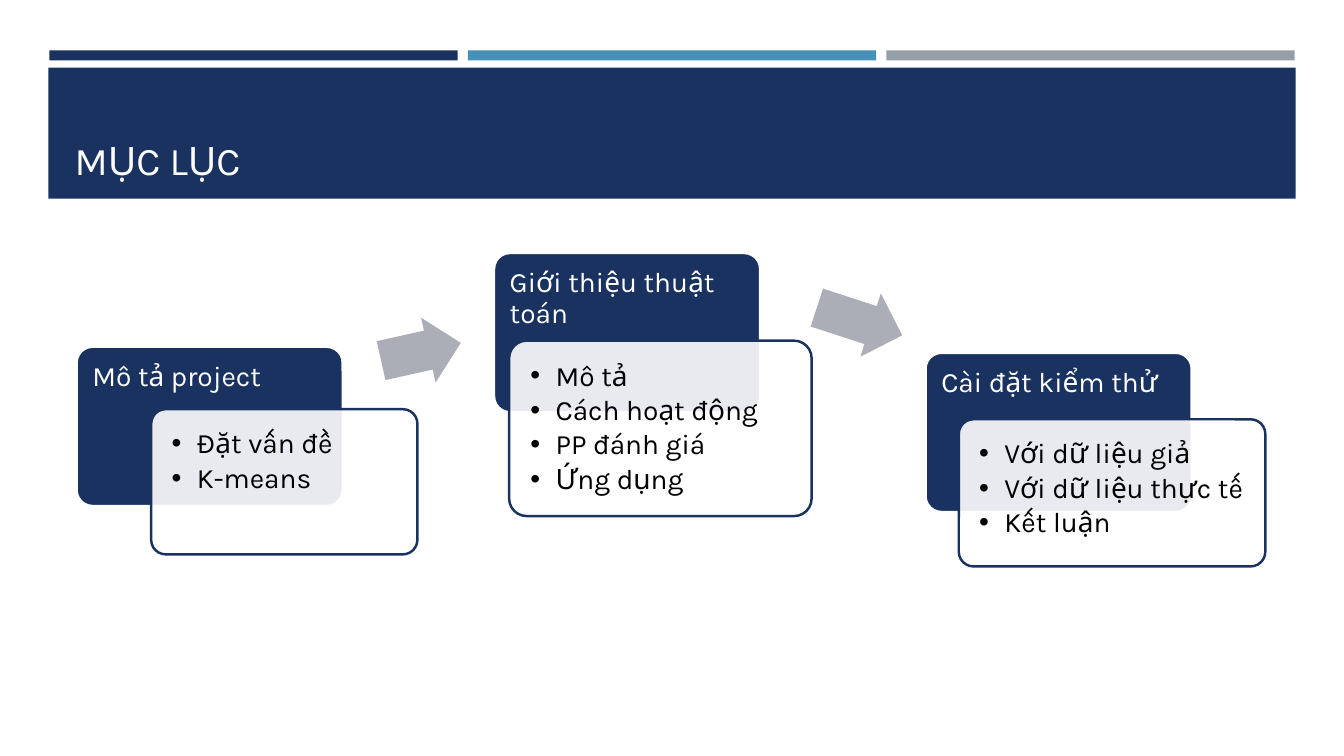
"""Build the table-of-contents slide with three linked topic cards."""
from dataclasses import dataclass

from lxml.etree import SubElement
from pptx import Presentation
from pptx.dml.color import RGBColor as RGB
from pptx.enum.shapes import MSO_SHAPE as SHAPE
from pptx.enum.text import MSO_ANCHOR as ANCHOR, PP_ALIGN as ALIGN
from pptx.oxml.ns import qn
from pptx.shapes.autoshape import Shape
from pptx.slide import Slide
from pptx.text.text import TextFrame
from pptx.util import Inches, Pt


@dataclass(frozen=True)
class Theme:
    font: str = "Karla"
    title_size: int = 28
    text_size: int = 20
    line_width: float = 1.75
    navy: str = "1A3260"
    blue: str = "4590B8"
    gray: str = "969FA7"
    arrow: str = "ACAEB7"
    white: str = "FFFFFF"
    black: str = "000000"


@dataclass(frozen=True)
class Box:
    left: float
    top: float
    width: float
    height: float


@dataclass(frozen=True)
class Card:
    left: float
    top: float
    heading: str
    panel: Box
    items: tuple[str, ...]


@dataclass(frozen=True)
class Arrow:
    box: Box
    rotation: float


THEME = Theme()
BAR_COLORS = (THEME.navy, THEME.blue, THEME.gray)
BAR_LEFT, BAR_STEP = 0.49, 4.15
BAND = Box(0.48, 0.67, 12.37, 1.3)
TITLE = Box(0.64, 0.77, 12.06, 1.11)
CARD_WIDTH, CARD_HEIGHT = 2.64, 1.58
CARDS = (
    Card(0.76, 3.44, "Mô tả project", Box(1.5, 4.06, 2.64, 1.44),
         ("Đặt vấn đề", "K-means")),
    Card(4.9, 2.51, "Giới thiệu thuật toán", Box(5.05, 3.38, 3, 1.74),
         ("Mô tả", "Cách hoạt động", "PP đánh giá", "Ứng dụng")),
    Card(9.18, 3.5, "Cài đặt kiểm thử", Box(9.51, 4.16, 3.04, 1.46),
         ("Với dữ liệu giả", "Với dữ liệu thực tế", "Kết luận")),
)
ARROWS = (
    Arrow(Box(3.77, 3.16, 0.81, 0.66), -12.6),
    Arrow(Box(8.08, 2.86, 0.89, 0.66), 18),
)


def add_box(slide: Slide, kind: SHAPE, box: Box, fill: str, line: str | None = None) -> Shape:
    sp = slide.shapes.add_shape(kind, Inches(box.left), Inches(box.top),
                                Inches(box.width), Inches(box.height))
    sp.shadow.inherit = False
    sp.fill.solid()
    sp.fill.fore_color.rgb = RGB.from_string(fill)
    if line:
        sp.line.color.rgb = RGB.from_string(line)
        sp.line.width = Pt(THEME.line_width)
    else:
        sp.line.fill.background()
    return sp


def format_text(tf: TextFrame, size: int, color: str, anchor: ANCHOR) -> None:
    tf.word_wrap = True
    tf.vertical_anchor = anchor
    for p in tf.paragraphs:
        p.alignment = ALIGN.LEFT
        p.line_spacing = 0.9
        for r in p.runs:
            r.font.name = THEME.font
            r.font.size = Pt(size)
            r.font.color.rgb = RGB.from_string(color)


def set_margins(tf: TextFrame, side: float, top: float) -> None:
    tf.margin_left, tf.margin_right = Inches(side), Inches(0.1)
    tf.margin_top = tf.margin_bottom = Inches(top)


def add_bullets(tf: TextFrame) -> None:
    for p in tf.paragraphs:
        p.space_after = Pt(3)
        ppr = p._p.get_or_add_pPr()
        ppr.set("marL", str(Inches(0.25)))
        ppr.set("indent", str(Inches(-0.25)))
        SubElement(ppr, qn("a:buFont"), typeface="Arial")
        SubElement(ppr, qn("a:buChar"), char="•")


def set_opacity(sp: Shape, percent: int) -> None:
    color = sp.fill._xPr.find(qn("a:solidFill"))[0]
    SubElement(color, qn("a:alpha"), val=str(percent * 1000))


def add_header(slide: Slide, text: str) -> None:
    title = slide.shapes.title
    title.left, title.top = Inches(TITLE.left), Inches(TITLE.top)
    title.width, title.height = Inches(TITLE.width), Inches(TITLE.height)
    title.text_frame.text = text
    format_text(title.text_frame, THEME.title_size, THEME.white, ANCHOR.BOTTOM)
    for i, color in enumerate(BAR_COLORS):
        add_box(slide, SHAPE.RECTANGLE, Box(BAR_LEFT + i * BAR_STEP, 0.5, 4.05, 0.1), color)
    band = add_box(slide, SHAPE.RECTANGLE, BAND, THEME.navy)
    title.element.addprevious(band.element)


def add_card(slide: Slide, card: Card) -> None:
    box = Box(card.left, card.top, CARD_WIDTH, CARD_HEIGHT)
    head = add_box(slide, SHAPE.ROUNDED_RECTANGLE, box, THEME.navy, THEME.white)
    head.adjustments[0] = 0.1
    head.text_frame.text = card.heading
    format_text(head.text_frame, THEME.text_size, THEME.white, ANCHOR.TOP)
    set_margins(head.text_frame, 0.11, 0.11)

    panel = add_box(slide, SHAPE.ROUNDED_RECTANGLE, card.panel, THEME.white, THEME.navy)
    panel.adjustments[0] = 0.1
    set_opacity(panel, 90)
    panel.text_frame.text = "\n".join(card.items)
    format_text(panel.text_frame, THEME.text_size, THEME.black, ANCHOR.TOP)
    set_margins(panel.text_frame, 0.16, 0.16)
    add_bullets(panel.text_frame)


def add_arrow(slide: Slide, arrow: Arrow) -> None:
    sp = add_box(slide, SHAPE.RIGHT_ARROW, arrow.box, THEME.arrow)
    sp.adjustments[0] = 0.6
    sp.rotation = arrow.rotation


def main() -> None:
    prs = Presentation()
    prs.slide_width, prs.slide_height = Inches(13.33), Inches(7.5)
    slide = prs.slides.add_slide(prs.slide_layouts[5])
    add_header(slide, "MỤC LỤC")
    for card in CARDS:
        add_card(slide, card)
    for arrow in ARROWS:
        add_arrow(slide, arrow)
    prs.save("out.pptx")


if __name__ == "__main__":
    main()
